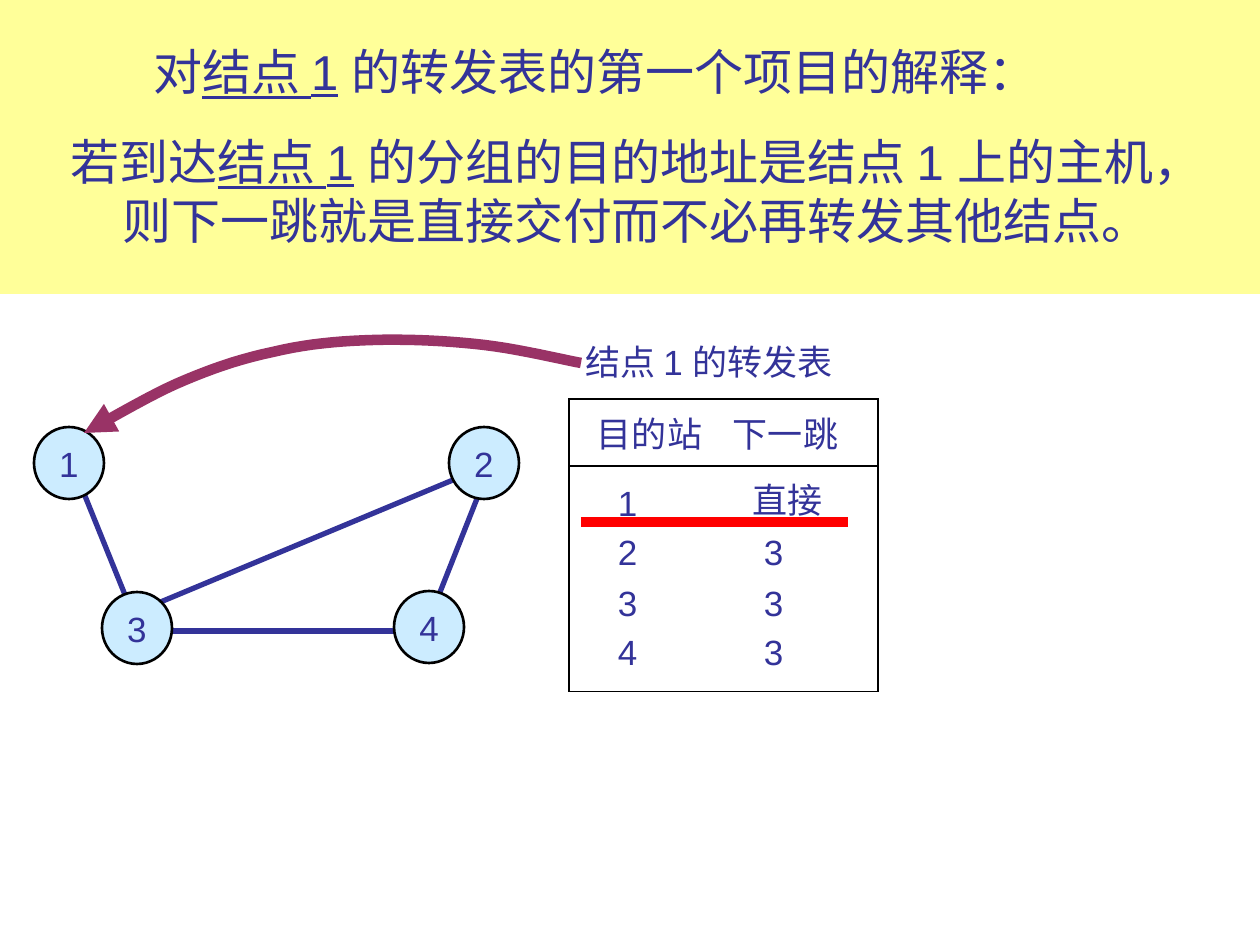
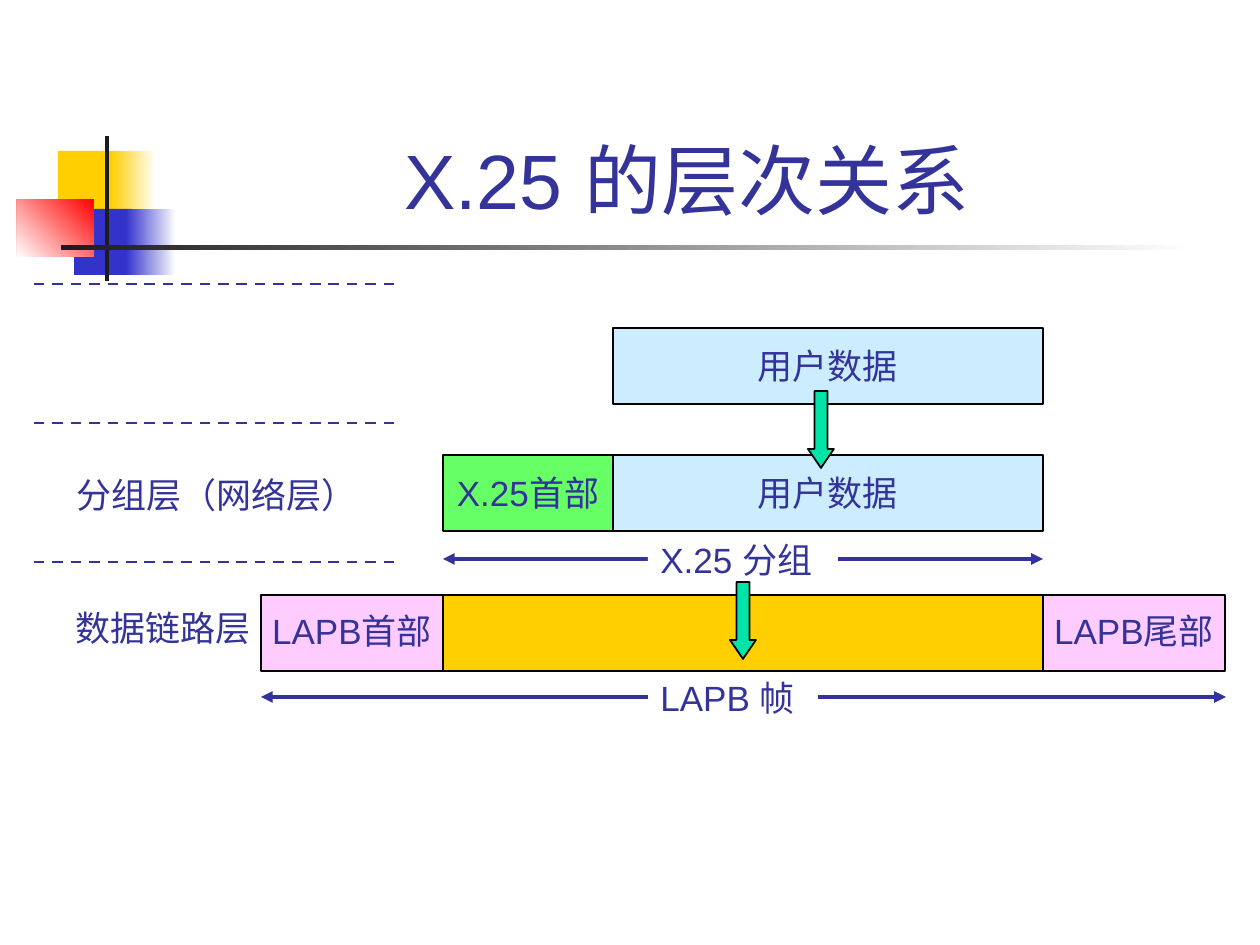
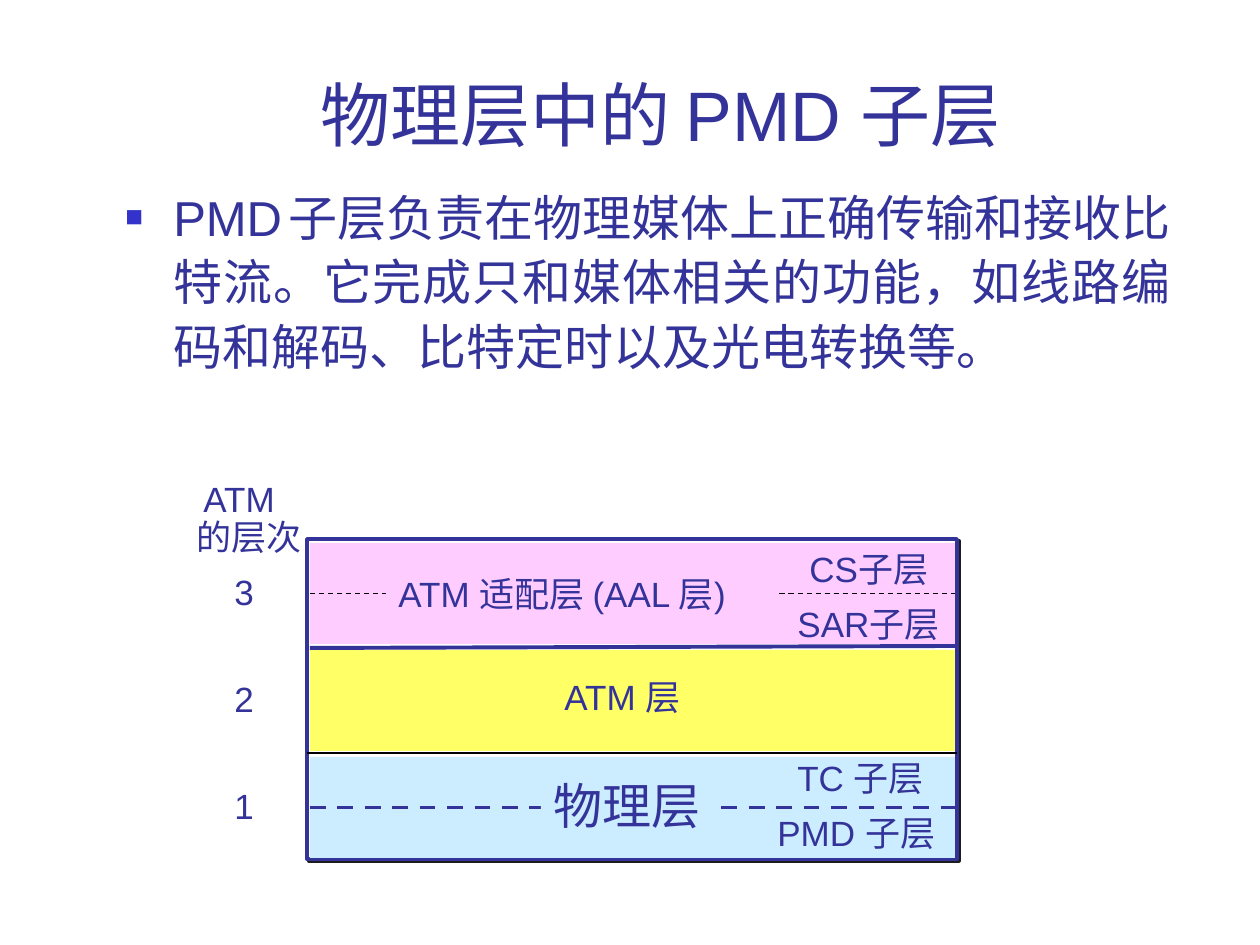
from dataclasses import dataclass

from lxml import etree
from pptx import Presentation
from pptx import util as u
from pptx.dml.color import RGBColor
from pptx.enum import dml, shapes, text
from pptx.oxml import ns

SCALE = 914400 / 126
FINE = 100
FONT = "Arial"
COLOURS = {
    "ink": "333399", "black": "000000", "white": "FFFFFF", "node": "CCECFF",
    "banner": "FFFF99", "red": "FF0000", "plum": "993366", "gold": "FFCF01",
    "blue": "3333CC", "charcoal": "1C1C1C", "green": "66FF66",
    "pink": "FFCCFF", "mint": "00E4A8", "yellow": "FFFF66",
}
SHAPE = shapes.MSO_SHAPE
ALIGN = text.PP_ALIGN
ANCHOR = text.MSO_ANCHOR


@dataclass
class Run:
    """Text with one format."""
    text: str
    size: int = 0
    underline: bool = False


def emu(px):
    """Turn px into EMU."""
    return u.Emu(round(px * SCALE))


def rgb(name):
    """Look up a colour."""
    return RGBColor.from_string(COLOURS[name])


def add_xml(parent, tag, **attributes):
    """Append a drawing element to its parent."""
    element = etree.SubElement(parent, ns.qn("a:" + tag))
    for key, value in attributes.items():
        element.set(key, str(value))
    return element


def add_colour(parent, name):
    """Append a solid colour element."""
    add_xml(parent, "srgbClr", val=COLOURS[name])


def set_indent(paragraph, left, first=0):
    """Indent a paragraph and its first line."""
    properties = paragraph._p.get_or_add_pPr()
    properties.set("marL", str(emu(left)))
    properties.set("indent", str(emu(first)))
    return properties


def write(frame, paragraphs, size=20, align=ALIGN.LEFT, spacing=None):
    """Fill a text frame with paragraphs, run by run."""
    for index, runs in enumerate(paragraphs):
        paragraph = frame.add_paragraph() if index else frame.paragraphs[0]
        paragraph.alignment = align
        if spacing:
            paragraph.line_spacing = spacing
        for item in [Run(runs)] if isinstance(runs, str) else runs:
            run = paragraph.add_run()
            run.text = item.text
            run.font.name = FONT
            run.font.size = u.Pt(item.size or size)
            run.font.color.rgb = rgb("ink")
            if item.underline:
                run.font.underline = True


def set_line(line, colour, width, dashed=False):
    """Style an outline or a connector line."""
    line.color.rgb = rgb(colour)
    line.width = u.Pt(width)
    if dashed:
        line.dash_style = dml.MSO_LINE.DASH


def add_arrowheads(shape, *ends):
    """Put triangles on the named ends of a line."""
    for end in ends:
        add_xml(shape.element.spPr.find(ns.qn("a:ln")), end, type="triangle")


@dataclass
class Region:
    """A part of a slide that places things from its own corner."""
    slide: object
    left: int = 0
    top: int = 0

    def box(self, x, y, width, height):
        """Give a relative box in EMU."""
        return [emu(v) for v in (self.left + x, self.top + y, width, height)]

    def shape(self, x, y, width, height, fill, line=None, weight=1,
              kind=SHAPE.RECTANGLE, caption=None, spacing=None):
        """Add a filled shape with an optional centred caption."""
        shape = self.slide.shapes.add_shape(kind, *self.box(x, y, width, height))
        shape.shadow.inherit = False
        shape.fill.solid()
        shape.fill.fore_color.rgb = rgb(fill)
        if line:
            set_line(shape.line, line, weight)
        else:
            shape.line.fill.background()
        if caption:
            shape.text_frame.word_wrap = False
            shape.text_frame.vertical_anchor = ANCHOR.MIDDLE
            write(shape.text_frame, [caption], align=ALIGN.CENTER, spacing=spacing)
        return shape

    def fade(self, x, y, width, height, colour, angle=0):
        """Add a rectangle that fades from a colour to white."""
        shape = self.shape(x, y, width, height, colour)
        shape.fill.gradient()
        shape.fill.gradient_angle = angle
        for stop, name in zip(shape.fill.gradient_stops, (colour, "white")):
            stop.color.rgb = rgb(name)

    def label(self, x, y, width, height, *paragraphs, fill=None, **style):
        """Add a text box that does not wrap."""
        label = self.slide.shapes.add_textbox(*self.box(x, y, width, height))
        frame = label.text_frame
        frame.word_wrap = False
        frame.auto_size = text.MSO_AUTO_SIZE.SHAPE_TO_FIT_TEXT
        if fill:
            label.fill.solid()
            label.fill.fore_color.rgb = rgb(fill)
        write(frame, paragraphs, **style)
        return label

    def line(self, x1, y1, x2, y2, colour="ink", width=2.25, dashed=False):
        """Add a straight line."""
        connector = self.slide.shapes.add_connector(
            shapes.MSO_CONNECTOR.STRAIGHT,
            *self.box(x1, y1, self.left + x2, self.top + y2))
        set_line(connector.line, colour, width, dashed)
        add_xml(connector.element.spPr, "effectLst")
        return connector


def add_title(slide, x, y, width, height, caption, size, spacing=None):
    """Add a centred slide title that sits on the bottom of its box."""
    title = slide.shapes.add_textbox(*Region(slide).box(x, y, width, height))
    title.text_frame.word_wrap = True
    title.text_frame.vertical_anchor = ANCHOR.BOTTOM
    write(title.text_frame, [caption], size, ALIGN.CENTER, spacing)


def add_banner(region):
    """Explain the first entry on a yellow band."""
    region.shape(0, 0, 1260, 294, "banner")
    node = Run("结点 1", underline=True)
    region.label(141, 35, 936, 72,
                 [Run("对"), node, Run(" 的转发表的第一个项目的解释：")], size=28)
    region.label(33, 125, 1207, 131,
                 [Run("若到达"), node, Run(" 的分组的目的地址是结点 1 上的主机，")],
                 "则下一跳就是直接交付而不必再转发其他结点。",
                 size=28, align=ALIGN.CENTER)


def add_network(region):
    """Draw four linked nodes."""
    links = [(450, 54, 399, 183), (47, 59, 102, 195),
             (117, 204, 373, 204), (117, 179, 431, 48)]
    for link in links:
        region.line(*link, width=3)
    nodes = {"1": (0, 0), "2": (415, 0), "4": (360, 164), "3": (68, 165)}
    for name, (x, y) in nodes.items():
        region.shape(x, y, 70, 72, "node", "black", 1.5, SHAPE.OVAL, name)


def set_borders(cell, visible):
    """Draw the named sides of a cell and clear the others."""
    properties = cell._tc.get_or_add_tcPr()
    for side in "LRTB":
        line = add_xml(properties, "ln" + side, w=u.Pt(0.75))
        if side in visible:
            add_colour(add_xml(line, "solidFill"), "black")
        else:
            add_xml(line, "noFill")


def add_forwarding_table(region):
    """Add the forwarding table of node 1 with its first entry marked."""
    region.label(4, -65, 294, 55, "结点 1 的转发表")
    rows = [("目的站", "下一跳"), ("1", "直接"), ("2", "3"), ("3", "3"), ("4", "3")]
    heights = [67, 62, 51, 51, 62]
    insets = [(28, 28), (49, 48)] + [(49, 59)] * 3
    anchors = [ANCHOR.MIDDLE, ANCHOR.BOTTOM, ANCHOR.MIDDLE, ANCHOR.MIDDLE, ANCHOR.TOP]
    edges = ["TB", "T", "", "", "B"]
    table = region.slide.shapes.add_table(
        5, 2, *region.box(0, 0, 309, sum(heights))).table
    table.first_row = table.horz_banding = False
    for column, width in zip(table.columns, (136, 173)):
        column.width = emu(width)
    for r, values in enumerate(rows):
        table.rows[r].height = emu(heights[r])
        for c, value in enumerate(values):
            cell = table.cell(r, c)
            set_borders(cell, edges[r] + "LR"[c])
            cell.fill.solid()
            cell.fill.fore_color.rgb = rgb("white")
            cell.vertical_anchor = anchors[r]
            cell.margin_left = emu(insets[r][c])
            cell.margin_right = 0
            cell.margin_top = cell.margin_bottom = emu(4)
            write(cell.text_frame, [value])
    region.line(12, 123, 279, 123, "red", 6)


def bezier(start, control1, control2, end, steps=10):
    """List finely scaled points along a cubic curve after its start."""
    points = []
    for step in range(1, steps + 1):
        t = step / steps
        weights = ((1 - t) ** 3, 3 * t * (1 - t) ** 2, 3 * t * t * (1 - t), t ** 3)
        points.append(tuple(
            FINE * sum(w * p for w, p in zip(weights, axis))
            for axis in zip(start, control1, control2, end)))
    return points


def add_curved_arrow(region):
    """Sweep an arrow from the table heading to node 1."""
    knots = [(497, 24), (480, 21), (435, 10), (400, 6), (366, 2), (326, 0),
             (290, 1), (255, 2), (222, 5), (189, 13), (155, 20), (124, 31),
             (92, 45), (61, 59), (19, 84), (0, 94)]
    points = []
    for index in range(0, len(knots) - 1, 3):
        points += bezier(*knots[index:index + 4])
    start_x, start_y = knots[0]
    builder = region.slide.shapes.build_freeform(
        start_x * FINE, start_y * FINE, scale=SCALE / FINE)
    builder.add_line_segments(points, close=False)
    arrow = builder.convert_to_shape(emu(region.left), emu(region.top))
    arrow.shadow.inherit = False
    arrow.fill.background()
    set_line(arrow.line, "plum", 6)
    add_arrowheads(arrow, "tailEnd")


def add_ornament(region):
    """Draw the coloured squares and the fading rule beside the title."""
    region.shape(41, 15, 60, 66, "gold")
    region.fade(94, 15, 45, 66, "gold")
    region.shape(57, 73, 58, 66, "blue")
    region.fade(109, 73, 50, 66, "blue")
    region.fade(0, 63, 77, 58, "red", 225)
    region.shape(88, 0, 4, 145, "charcoal")
    region.fade(44, 109, 1134, 5, "charcoal")


def add_layer_names(region):
    """Name the layers between dashed lines."""
    region.label(30, 183, 312, 54, "分组层（网络层）")
    region.label(29, 316, 206, 54, "数据链路层")
    for index in range(3):
        region.line(0, 139 * index, 368, 139 * index, width=1.5, dashed=True)


def add_encapsulation(region):
    """Show user data wrapped in a packet and then in a frame."""
    spans = [(0, 965, 369, 170, "LAPB 帧"), (182, 782, 231, 190, "X.25 分组")]
    for start, end, y, width, name in spans:
        add_arrowheads(region.line(start, y, end, y), "headEnd", "tailEnd")
        region.label(387, y - 27, width, 54, name, fill="white")
    fields = [(352, 0, 430, "node", "用户数据", None),
              (352, 127, 430, "node", "用户数据", None),
              (182, 127, 170, "green", "X.25首部", None),
              (0, 267, 182, "pink", "LAPB首部", 0.9),
              (182, 267, 600, "gold", None, None),
              (782, 267, 182, "pink", "LAPB尾部", 0.9)]
    for x, y, width, fill, name, spacing in fields:
        region.shape(x, y, width, 76, fill, "black", caption=name, spacing=spacing)
    for x, y in ((547, 63), (469, 254)):
        arrow = region.shape(x, y, 26, 77, "mint", "black", kind=SHAPE.DOWN_ARROW)
        arrow.adjustments[0], arrow.adjustments[1] = 0.5, 0.73


def add_bullet(region, runs):
    """Add a justified paragraph with a square bullet."""
    body = region.slide.shapes.add_textbox(*region.box(0, 0, 1071, 289))
    body.text_frame.word_wrap = True
    write(body.text_frame, [runs], 28, ALIGN.JUSTIFY, 1.1)
    paragraph = body.text_frame.paragraphs[0]
    paragraph.space_before = u.Pt(7)
    properties = set_indent(paragraph, 48, -48)
    add_colour(add_xml(properties, "buClr"), "blue")
    add_xml(properties, "buSzPct", val=60000)
    add_xml(properties, "buFont", typeface=FONT)
    add_xml(properties, "buChar", char="■")


def add_atm_layers(region):
    """Stack the three ATM layers with their sublayers and numbers."""
    frame = region.shape(0, 0, 650, 320, "white", "ink", 2.25)
    effects = frame.element.spPr.find(ns.qn("a:effectLst"))
    add_colour(add_xml(effects, "outerShdw", dist=u.Pt(1.4), dir=2700000), "charcoal")
    layers = [region.shape(3, 4 + 107 * index, 645, 101, fill)
              for index, fill in enumerate(("pink", "yellow", "node"))]
    region.line(3, 109, 650, 107)
    region.line(0, 214, 650, 214, "black", 1.5)
    for layer, colour, width in ((layers[0], "black", 0.75), (layers[2], "ink", 2.25)):
        divider = region.line(0, 0, 650, 0, colour, width, dashed=True)
        divider.begin_connect(layer, 1)
        divider.end_connect(layer, 3)
    region.label(79, 27, 391, 55, "ATM 适配层 (AAL 层)", fill="pink")
    region.label(245, 130, 158, 55, "ATM 层")
    region.label(234, 230, 178, 72, "物理层", fill="node", size=28)
    sublayers = [(490, 2, 158, "CS子层"), (478, 57, 182, "SAR子层"),
                 (478, 211, 166, "TC 子层"), (458, 266, 198, "PMD 子层")]
    for x, y, width, name in sublayers:
        region.label(x, y, width, 55, name)
    for index, number in enumerate("321"):
        region.label(-85, 25 + 107 * index, 48, 55, number)
    heading = region.label(-123, -63, 136, 88, "ATM", "的层次", spacing=0.9)
    set_indent(heading.text_frame.paragraphs[0], 7)


def build_forwarding_slide(slide):
    """Build the forwarding table slide."""
    add_network(Region(slide, 34, 427))
    add_banner(Region(slide))
    add_forwarding_table(Region(slide, 569, 399))
    add_curved_arrow(Region(slide, 84, 339))


def build_x25_slide(slide):
    """Build the X.25 layers slide."""
    add_ornament(Region(slide, 17, 136))
    add_title(slide, 150, 29, 1074, 202, "X.25 的层次关系", 44)
    add_encapsulation(Region(slide, 261, 328))
    add_layer_names(Region(slide, 34, 284))


def build_pmd_slide(slide):
    """Build the PMD sublayer slide."""
    add_title(slide, 94, 16, 1133, 146, "物理层中的 PMD 子层", 40, 1.1)
    add_atm_layers(Region(slide, 307, 539))
    add_bullet(Region(slide, 113, 175), [
        Run("PMD"), Run(" ", 12),
        Run("子层负责在物理媒体上正确传输和接收比特流。它完成只和媒体相关的功能，"
            "如线路编码和解码、比特定时以及光电转换等。")])


def main():
    """Build and save the presentation."""
    presentation = Presentation()
    presentation.slide_width, presentation.slide_height = emu(1260), emu(945)
    for build in (build_forwarding_slide, build_x25_slide, build_pmd_slide):
        build(presentation.slides.add_slide(presentation.slide_layouts[6]))
    presentation.save("out.pptx")


if __name__ == "__main__":
    main()
